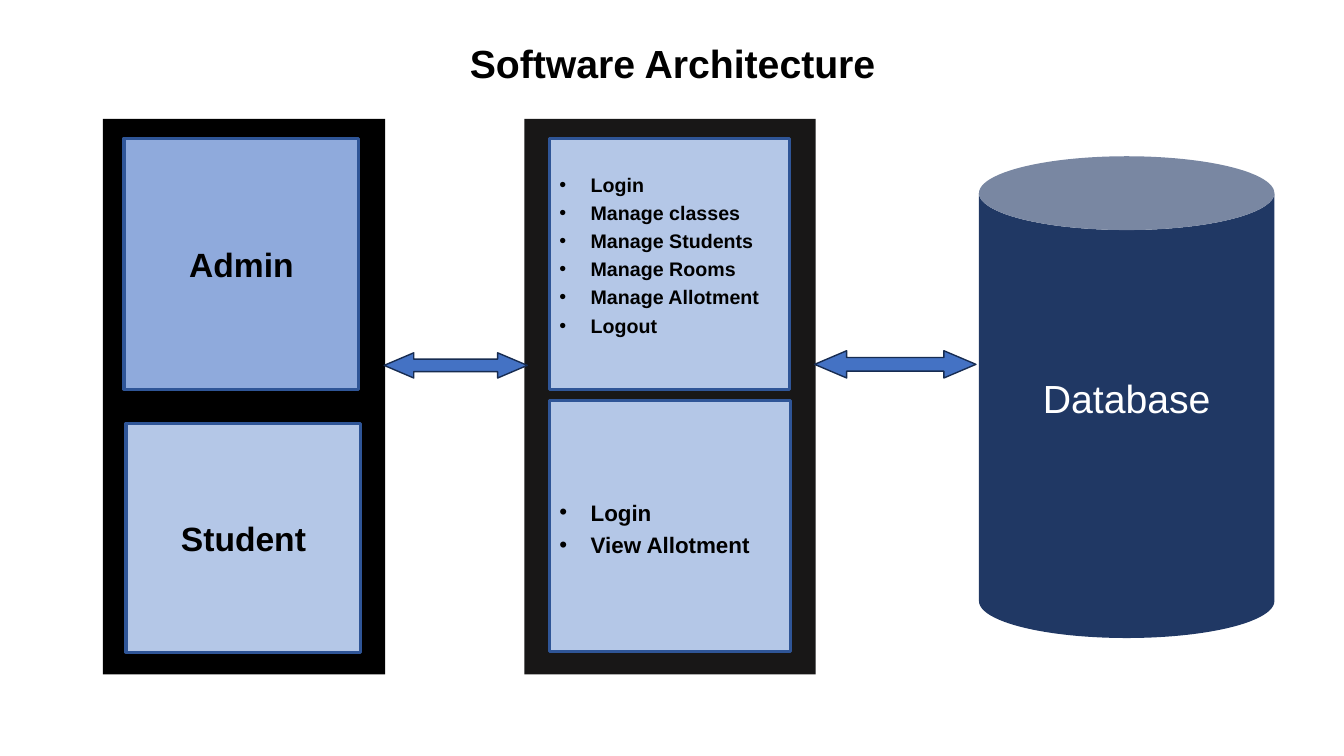
from dataclasses import dataclass

from lxml.etree import SubElement
from pptx import Presentation
from pptx.dml.color import RGBColor
from pptx.enum.shapes import MSO_SHAPE
from pptx.enum.text import MSO_ANCHOR, PP_ALIGN
from pptx.oxml.ns import qn
from pptx.util import Inches, Pt


@dataclass(frozen=True)
class Theme:
    font: str = "Arial"
    black: str = "000000"
    white: str = "FFFFFF"
    charcoal: str = "181717"
    admin: str = "8FAADC"
    panel: str = "B4C7E7"
    border: str = "2F5597"
    database: str = "203864"
    arrow: str = "4472C4"
    arrow_border: str = "172C51"
    heading: int = 28
    role: int = 24
    student_list: int = 16
    admin_list: int = 14


class ArchitectureSlide:
    def __init__(self, slide, theme):
        self.slide = slide
        self.theme = theme

    def label(self, shape, lines, size, color, bold=True, align=PP_ALIGN.CENTER, spacing=1.0):
        frame = shape.text_frame
        frame.word_wrap = True
        frame.vertical_anchor = MSO_ANCHOR.MIDDLE
        frame.text = "\n".join(lines)
        for paragraph in frame.paragraphs:
            paragraph.alignment = align
            paragraph.line_spacing = spacing
            for run in paragraph.runs:
                run.font.name = self.theme.font
                run.font.size = Pt(size)
                run.font.bold = bold
                run.font.color.rgb = RGBColor.from_string(color)

    def title(self, text, box):
        shape = self.slide.shapes.add_textbox(*map(Inches, box))
        self.label(shape, [text], self.theme.heading, self.theme.black, spacing=0.9)

    def block(self, kind, box, fill, border=None, width=2.25):
        shape = self.slide.shapes.add_shape(kind, *map(Inches, box))
        shape.shadow.inherit = False
        shape.fill.solid()
        shape.fill.fore_color.rgb = RGBColor.from_string(fill)
        if border:
            shape.line.color.rgb = RGBColor.from_string(border)
            shape.line.width = Pt(width)
        else:
            shape.line.fill.background()
        return shape

    def role(self, name, box, fill):
        shape = self.block(MSO_SHAPE.RECTANGLE, box, fill, self.theme.border)
        self.label(shape, [name], self.theme.role, self.theme.black)

    def actions(self, items, box, size, bottom):
        shape = self.block(MSO_SHAPE.RECTANGLE, box, self.theme.panel, self.theme.border)
        self.label(shape, items, size, self.theme.black, align=PP_ALIGN.LEFT, spacing=1.2)
        shape.text_frame.margin_bottom = Inches(bottom)
        indent = Inches(0.31)
        for paragraph in shape.text_frame.paragraphs:
            properties = paragraph._p.get_or_add_pPr()
            properties.set("marL", str(indent))
            properties.set("indent", str(-indent))
            SubElement(properties, qn("a:buFont"), typeface=self.theme.font)
            SubElement(properties, qn("a:buChar"), char="•")

    def database(self, name, box):
        shape = self.block(MSO_SHAPE.CAN, box, self.theme.database)
        self.label(shape, [name], self.theme.heading, self.theme.white, bold=False)
        shape.text_frame.margin_bottom = Inches(0.4)

    def double_arrow(self, box):
        shape = self.block(MSO_SHAPE.LEFT_RIGHT_ARROW, box, self.theme.arrow, self.theme.arrow_border, 1)
        shape.adjustments[0] = 0.5
        shape.adjustments[1] = 1.175


def main():
    presentation = Presentation()
    presentation.slide_width = Inches(13.33)
    presentation.slide_height = Inches(7.5)
    theme = Theme()
    page = ArchitectureSlide(presentation.slides.add_slide(presentation.slide_layouts[6]), theme)

    page.title("Software Architecture", (0.92, -0.12, 11.5, 1.55))

    page.block(MSO_SHAPE.RECTANGLE, (1.02, 1.18, 2.8, 5.51), theme.black)
    page.role("Admin", (1.23, 1.37, 2.33, 2.49), theme.admin)
    page.role("Student", (1.25, 4.2, 2.33, 2.27), theme.panel)

    page.block(MSO_SHAPE.RECTANGLE, (5.2, 1.18, 2.89, 5.51), theme.charcoal)
    page.actions(["Login", "View Allotment"], (5.45, 3.97, 2.39, 2.49), theme.student_list, 0.05)
    page.actions(
        ["Login", "Manage classes", "Manage Students", "Manage Rooms", "Manage Allotment", "Logout"],
        (5.45, 1.37, 2.38, 2.49), theme.admin_list, 0.27,
    )

    page.database("Database", (9.71, 1.55, 2.93, 4.78))
    page.double_arrow((8.08, 3.48, 1.6, 0.27))
    page.double_arrow((3.81, 3.5, 1.42, 0.25))

    presentation.save("out.pptx")


if __name__ == "__main__":
    main()
